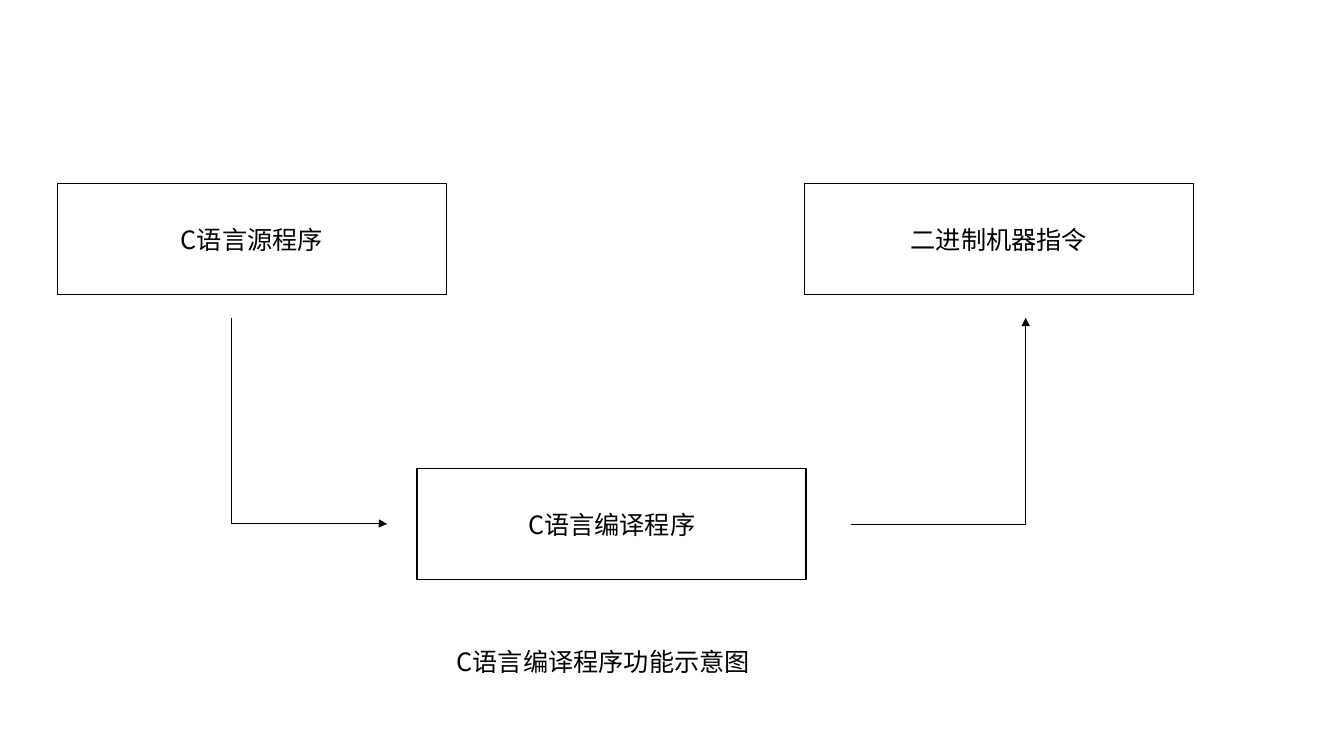
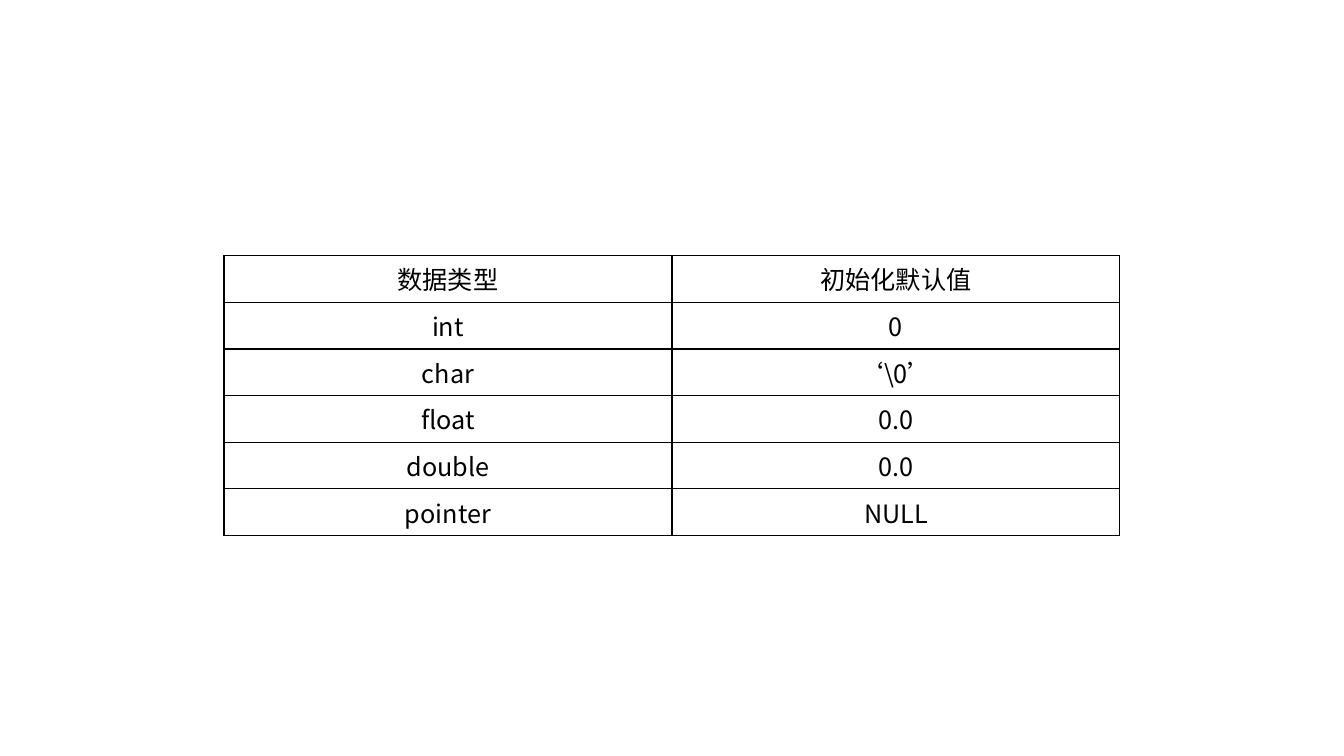
import pptx
import pptx.util
import pptx.dml.color
import pptx.enum.shapes
import pptx.enum.text
import pptx.oxml
import pptx.oxml.ns

Pt = pptx.util.Pt
ALIGN = pptx.enum.text.PP_ALIGN
MIDDLE = pptx.enum.text.MSO_ANCHOR.MIDDLE
qn = pptx.oxml.ns.qn

# Shared style
FONT = "Noto Sans CJK SC"
SIZE = 18
INK = "000000"
PAPER = "FFFFFF"
BOX_W, BOX_H = 277.8, 79.2


def color(hex_code):
    return pptx.dml.color.RGBColor.from_string(hex_code)


def xml(tag, body="", **attrs):
    """Make one drawing element, with optional inner markup."""
    listed = "".join(f' {name}="{value}"' for name, value in attrs.items())
    return pptx.oxml.parse_xml(
        f'<a:{tag} {pptx.oxml.ns.nsdecls("a")}{listed}>{body}</a:{tag}>')


def write(tf, text, align):
    p = tf.paragraphs[0]
    p.alignment = align
    r = p.add_run()
    r.text = text
    r.font.size = Pt(SIZE)
    r.font.name = FONT
    r.font.color.rgb = color(INK)
    r.font._element.append(xml("ea", typeface=FONT))


def add_box(s, text, left, top):
    sp = s.shapes.add_shape(pptx.enum.shapes.MSO_SHAPE.RECTANGLE,
                            Pt(left), Pt(top), Pt(BOX_W), Pt(BOX_H))
    sp.shadow.inherit = False
    sp.fill.solid()
    sp.fill.fore_color.rgb = color(PAPER)
    sp.line.color.rgb = color(INK)
    sp.line.width = Pt(1)
    sp.text_frame.vertical_anchor = MIDDLE
    write(sp.text_frame, text, ALIGN.CENTER)


def add_caption(s, text, left, top, width, height):
    sp = s.shapes.add_textbox(Pt(left), Pt(top), Pt(width), Pt(height))
    tf = sp.text_frame
    tf.word_wrap = False
    tf.auto_size = pptx.enum.text.MSO_AUTO_SIZE.SHAPE_TO_FIT_TEXT
    write(tf, text, ALIGN.LEFT)


def add_bent_arrow(s, begin, end, quarter, bend):
    """Elbow arrow turned by quarter (1 or -1) right angles clockwise.

    The ends are turned back around the centre, then the whole is rotated.
    bend is the place of the turn in thousandths of a percent.
    """
    cx, cy = (begin[0] + end[0]) / 2, (begin[1] + end[1]) / 2
    ends = []
    for x, y in (begin, end):
        ends += [Pt(cx + quarter * (y - cy)), Pt(cy - quarter * (x - cx))]
    c = s.shapes.add_connector(pptx.enum.shapes.MSO_CONNECTOR.ELBOW, *ends)
    c.line.color.rgb = color(INK)
    c.line.width = Pt(0.5)
    c.line._get_or_add_ln().append(xml("tailEnd", type="triangle"))

    # Rotation, place of the turn, no shadow
    sp_pr = c._element.spPr
    sp_pr.find(qn("a:xfrm")).set("rot", str(quarter % 4 * 5400000))
    geom = sp_pr.find(qn("a:prstGeom"))
    for old in geom.findall(qn("a:avLst")):
        geom.remove(old)
    geom.append(xml("avLst", f'<a:gd name="adj1" fmla="val {bend}"/>'))
    sp_pr.append(xml("effectLst"))


def format_cell(cell, text):
    cell.vertical_anchor = MIDDLE
    cell.fill.background()
    write(cell.text_frame, text, ALIGN.CENTER)
    line = f'<a:solidFill><a:srgbClr val="{INK}"/></a:solidFill>'
    for i, side in enumerate(("lnL", "lnR", "lnT", "lnB")):
        cell._tc.get_or_add_tcPr().insert(i, xml(side, line, w=Pt(1)))


def add_grid(s, rows, left, top, width, height):
    table = s.shapes.add_table(len(rows), len(rows[0]), Pt(left), Pt(top),
                               Pt(width), Pt(height)).table
    table.first_row = False
    table.horz_banding = False
    for i, row in enumerate(rows):
        for j, text in enumerate(row):
            format_cell(table.cell(i, j), text)


def compiler_slide(s):
    # Three stages
    add_box(s, "C语言源程序", 41, 131.2)
    add_box(s, "二进制机器指令", 574.6, 131.2)
    add_box(s, "C语言编译程序", 298, 334.8)

    # Down into the compiler, then up to the machine code
    add_bent_arrow(s, (165, 227), (276.5, 374.3), -1, 99800)
    add_bent_arrow(s, (608.2, 374.3), (732.7, 227), 1, -300)

    add_caption(s, "C语言编译程序功能示意图", 319, 458.2, 229, 28.8)


def defaults_slide(s):
    rows = [
        ("数据类型", "初始化默认值"),
        ("int", "0"),
        ("char", "‘\\0’"),
        ("float", "0.0"),
        ("double", "0.0"),
        ("pointer", "NULL"),
    ]
    add_grid(s, rows, 160, 182.6, 640, 200)


def main():
    prs = pptx.Presentation()
    prs.slide_width, prs.slide_height = Pt(960), Pt(540)
    blank = prs.slide_layouts[6]
    for build in (compiler_slide, defaults_slide):
        build(prs.slides.add_slide(blank))
    prs.save("out.pptx")


main()
